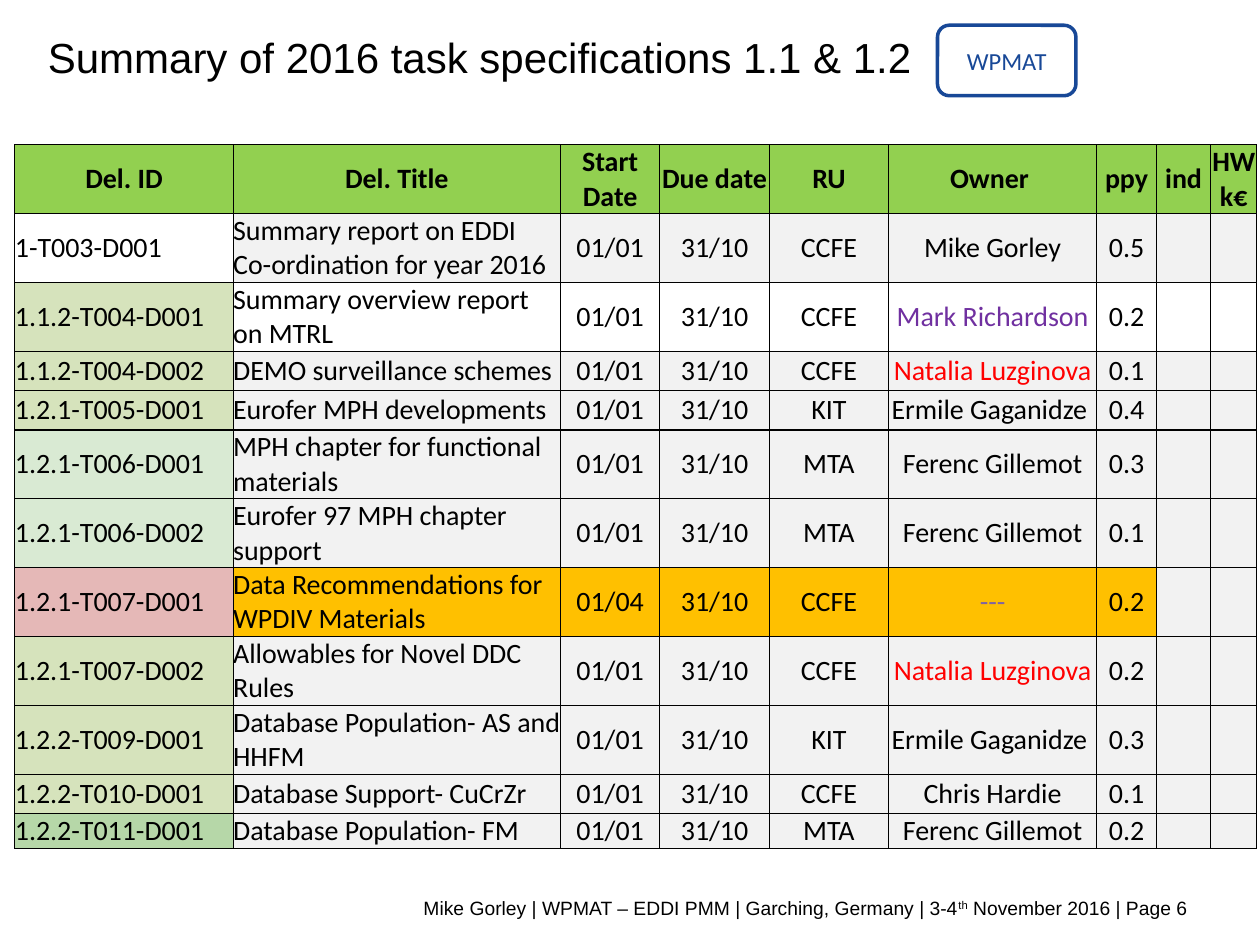
from lxml import etree
from pptx import Presentation
from pptx.dml.color import RGBColor
from pptx.enum.shapes import MSO_SHAPE
from pptx.enum.text import MSO_ANCHOR, PP_ALIGN
from pptx.oxml.ns import qn
from pptx.util import Cm, Pt

ROUND = MSO_SHAPE.ROUNDED_RECTANGLE
MID = MSO_ANCHOR.MIDDLE
LEFT, CENTER, RIGHT = PP_ALIGN.LEFT, PP_ALIGN.CENTER, PP_ALIGN.RIGHT

BLACK, BLUE, GREY = "000000", "184897", "F2F2F2"
GREEN, AMBER, WHITE = "92D050", "FFC000", "FFFFFF"
SAGE, MINT, PINK, LEAF = "D6E3BC", "D9EAD3", "E5B8B7", "B6D7A8"
INKS = {"Mark Richardson": "7030A0", "Natalia Luzginova": "FF0000", "---": "8064A2"}

WIDTHS = [4.4, 6.6, 2, 2.21, 2.4, 4.2, 1.2, 1.1, 0.92]
TALL, LOW, LAST = 1.39, 0.79, 0.71
HEADS = ["Del. ID", "Del. Title", "Start Date", "Due date", "RU", "Owner ", "ppy", "ind", "HW k€"]
TASKS = [
    (TALL, WHITE, GREY, "1-T003-D001", "Summary report on EDDI Co-ordination for year 2016",
     "01/01", "CCFE", "Mike Gorley", "0.5"),
    (TALL, SAGE, None, "1.1.2-T004-D001", "Summary overview report on MTRL",
     "01/01", "CCFE", "Mark Richardson", "0.2"),
    (LOW, SAGE, GREY, "1.1.2-T004-D002", "DEMO surveillance schemes",
     "01/01", "CCFE", "Natalia Luzginova", "0.1"),
    (LOW, SAGE, GREY, "1.2.1-T005-D001", "Eurofer MPH developments",
     "01/01", "KIT", "Ermile Gaganidze ", "0.4"),
    (TALL, MINT, GREY, "1.2.1-T006-D001", "MPH chapter for functional materials",
     "01/01", "MTA", "Ferenc Gillemot", "0.3"),
    (TALL, MINT, GREY, "1.2.1-T006-D002", "Eurofer 97 MPH chapter support",
     "01/01", "MTA", "Ferenc Gillemot", "0.1"),
    (TALL, PINK, AMBER, "1.2.1-T007-D001", "Data Recommendations for WPDIV Materials",
     "01/04", "CCFE", "---", "0.2"),
    (TALL, SAGE, GREY, "1.2.1-T007-D002", "Allowables for Novel DDC Rules",
     "01/01", "CCFE", "Natalia Luzginova", "0.2"),
    (TALL, SAGE, GREY, "1.2.2-T009-D001", "Database Population- AS and HHFM",
     "01/01", "KIT", "Ermile Gaganidze ", "0.3"),
    (LOW, SAGE, GREY, "1.2.2-T010-D001", "Database Support- CuCrZr",
     "01/01", "CCFE", "Chris Hardie", "0.1"),
    (LAST, LEAF, GREY, "1.2.2-T011-D001", "Database Population- FM",
     "01/01", "MTA", "Ferenc Gillemot", "0.2"),
]


def color(code):
    return RGBColor.from_string(code)


def style(para, face, size, ink=BLACK, align=LEFT, bold=False):
    para.alignment = align
    for run in para.runs:
        run.font.name = face
        run.font.size = Pt(size)
        run.font.bold = bold
        run.font.color.rgb = color(ink)


def add_title(slide, box):
    title = slide.shapes.title
    title.left, title.top, title.width, title.height = map(Cm, box)
    frame = title.text_frame
    frame.text = "Summary of 2016 task specifications 1.1 & 1.2"
    frame.vertical_anchor = MID
    style(frame.paragraphs[0], "Arial", 24)


def add_badge(slide, box):
    badge = slide.shapes.add_shape(ROUND, *map(Cm, box))
    badge.shadow.inherit = False
    badge.fill.background()
    badge.line.color.rgb = color(BLUE)
    badge.line.width = Pt(2)
    badge.text_frame.text = "WPMAT"
    badge.text_frame.vertical_anchor = MID
    style(badge.text_frame.paragraphs[0], "Calibri", 14, BLUE, CENTER)


def add_footer(slide, box):
    frame = slide.shapes.add_textbox(*map(Cm, box)).text_frame
    frame.word_wrap = True
    frame.vertical_anchor = MID
    para = frame.paragraphs[0]
    para.text = "Mike Gorley | WPMAT – EDDI PMM | Garching, Germany | 3-4"
    power = para.add_run()
    power.text = "th"
    para.add_run().text = " November 2016 | Page 6"
    style(para, "Arial", 11, align=RIGHT)
    power._r.get_or_add_rPr().set("baseline", "30000")


def add_edges(cell):
    props = cell._tc.get_or_add_tcPr()
    for spot, side in enumerate(("a:lnL", "a:lnR", "a:lnT", "a:lnB")):
        line = etree.Element(qn(side), w=str(Pt(0.75)))
        solid = etree.SubElement(line, qn("a:solidFill"))
        etree.SubElement(solid, qn("a:srgbClr"), val=BLACK)
        props.insert(spot, line)


def fill_cell(cell, text, fill, ink, align, bold):
    cell.margin_left = cell.margin_right = cell.margin_top = cell.margin_bottom = 0
    cell.vertical_anchor = MID
    if fill:
        cell.fill.solid()
        cell.fill.fore_color.rgb = color(fill)
    else:
        cell.fill.background()
    add_edges(cell)
    para = cell.text_frame.paragraphs[0]
    if text:
        para.text = text
        style(para, "Calibri", 16, ink, align, bold)
    else:
        etree.SubElement(para._p, qn("a:endParaRPr"), sz="1600")


def add_tasks(slide, left, top):
    highs = [TALL] + [task[0] for task in TASKS]
    frame = slide.shapes.add_table(len(highs), len(WIDTHS), Cm(left), Cm(top),
                                   Cm(sum(WIDTHS)), Cm(sum(highs)))
    table = frame.table
    for col, width in zip(table.columns, WIDTHS):
        col.width = Cm(width)
    for row, high in zip(table.rows, highs):
        row.height = Cm(high)
    for col, head in enumerate(HEADS):
        fill_cell(table.cell(0, col), head, GREEN, BLACK, CENTER, True)
    for row, (_, tint, base, code, name, start, unit, owner, ppy) in enumerate(TASKS, 1):
        texts = [code, name, start, "31/10", unit, owner, ppy, "", ""]
        fills = [tint] + [base] * 6 + [base and GREY] * 2
        for col, (text, fill) in enumerate(zip(texts, fills)):
            align = LEFT if col < 2 else CENTER
            fill_cell(table.cell(row, col), text, fill, INKS.get(text, BLACK), align, False)


def main():
    deck = Presentation()
    deck.slide_width, deck.slide_height = Cm(25.4), Cm(19.05)
    slide = deck.slides.add_slide(deck.slide_layouts[5])
    add_title(slide, (0.71, -0.08, 20.62, 2.46))
    add_footer(slide, (1.3, 17.93, 22.89, 0.74))
    add_badge(slide, (18.9, 0.51, 2.79, 1.42))
    add_tasks(slide, 0.3, 2.92)
    deck.save("out.pptx")


if __name__ == "__main__":
    main()
